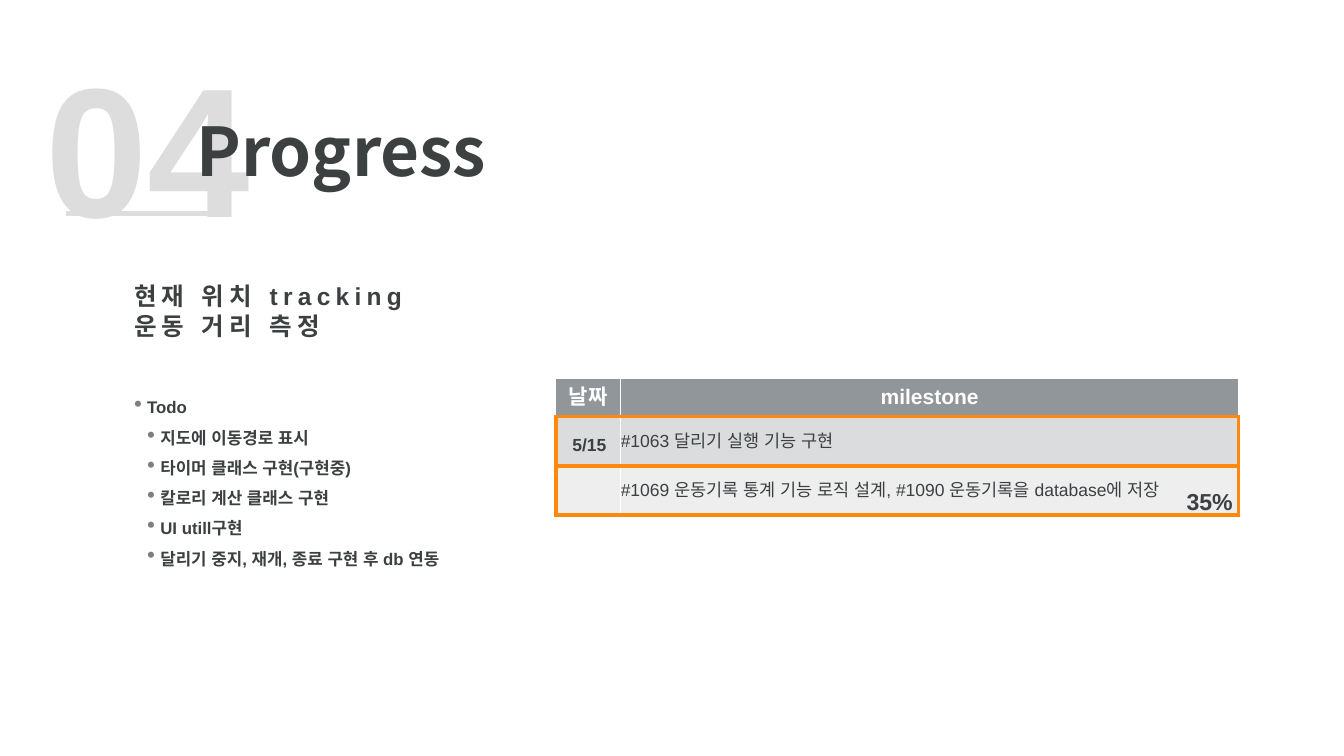
from collections import namedtuple
from lxml import etree
from pptx import Presentation
from pptx.dml.color import RGBColor
from pptx.enum.shapes import MSO_CONNECTOR
from pptx.enum.text import MSO_ANCHOR, MSO_AUTO_SIZE, PP_ALIGN
from pptx.oxml import parse_xml
from pptx.oxml.ns import nsdecls, qn
from pptx.util import Inches, Pt

LEFT, CENTER = PP_ALIGN.LEFT, PP_ALIGN.CENTER
TOP, MIDDLE = MSO_ANCHOR.TOP, MSO_ANCHOR.MIDDLE
NO_FIT = MSO_AUTO_SIZE.NONE
STRAIGHT = MSO_CONNECTOR.STRAIGHT

WIDTH, HEIGHT = Inches(26.65), Inches(15)
COL, ROW = WIDTH / 100, HEIGHT / 100
PAD = 0.05

Box = namedtuple("Box", "x y w h")


class Theme:
    """Colours, fonts and type sizes of the slide."""
    ink, white, pale, dot = "3C4040", "FFFFFF", "DDDDDD", "7F7F7F"
    head, odd, even, mark = "91969B", "DBDCDE", "EEEEEF", "FF880D"
    sans, title = "Arial", "Noto Sans CJK KR"
    huge, large, topic, rate, label, cell, list = 263, 96, 35, 33, 30, 25, 24


def grid(x, y, w, h):
    """Turn columns and rows of the slide grid into a box."""
    return Box(int(x * COL), int(y * ROW), int(w * COL), int(h * ROW))


def part(box, x, y, w, h):
    """Return the part of a box given by shares of its size."""
    return Box(int(box.x + x * box.w), int(box.y + y * box.h),
               int(w * box.w), int(h * box.h))


def style(para, size, color=Theme.ink, bold=True, face=Theme.sans, gap=0):
    """Set the font of a paragraph for Latin and Korean text."""
    font = para.font
    font.size, font.bold, font.name = Pt(size), bold, face
    font.color.rgb = RGBColor.from_string(color)
    props = font._rPr
    etree.SubElement(props, qn("a:ea")).set("typeface", face)
    if gap:
        props.set("spc", str(int(gap * 100)))


def setup(frame, anchor=TOP, wrap=True, top=PAD):
    """Set the insets, anchor and wrapping of a text frame."""
    frame.auto_size, frame.word_wrap = NO_FIT, wrap
    frame.vertical_anchor = anchor
    frame.margin_left = frame.margin_right = frame.margin_bottom = Inches(PAD)
    frame.margin_top = Inches(top)


def write(slide, box, lines, wrap=True, top=PAD):
    """Add a text box and return its paragraphs."""
    frame = slide.shapes.add_textbox(*box).text_frame
    setup(frame, wrap=wrap, top=top)
    frame.text = "\n".join(lines)
    return frame.paragraphs


def bullet(para, level):
    """Give a paragraph a grey dot and a hanging indent."""
    props = para._p.get_or_add_pPr()
    step = Inches(0.26)
    props.set("marL", str(step * (level + 1)))
    props.set("indent", str(-step))
    for tag in (f'<a:buClr {nsdecls("a")}><a:srgbClr val="{Theme.dot}"/></a:buClr>',
                f'<a:buSzPct {nsdecls("a")} val="140000"/>',
                f'<a:buChar {nsdecls("a")} char="•"/>'):
        props.append(parse_xml(tag))
    para.level = level


def border(cell, sides):
    """Draw the four cell borders, given as colour and width."""
    props = cell._tc.get_or_add_tcPr()
    for spot, (side, (color, width)) in enumerate(zip("LRTB", sides)):
        props.insert(spot, parse_xml(
            f'<a:ln{side} {nsdecls("a")} w="{Pt(width)}"><a:solidFill>'
            f'<a:srgbClr val="{color}"/></a:solidFill></a:ln{side}>'))


def heading(slide, box, number, text):
    """Place the large number, the title over it and the rule below."""
    for para in write(slide, part(box, 0, 0, 0.34, 1), [number], top=0.38):
        style(para, Theme.huge, Theme.pale)
    title = slide.shapes.title
    title.left, title.top, title.width, title.height = part(box, 0.2, 0.41, 0.8, 0.38)
    setup(title.text_frame, MIDDLE)
    title.text_frame.text = text
    para = title.text_frame.paragraphs[0]
    para.alignment = LEFT
    style(para, Theme.large, face=Theme.title)
    slide.shapes._spTree.append(title._element)
    rule = part(box, 0.03, 0.88, 0.2, 0)
    line = slide.shapes.add_connector(STRAIGHT, rule.x, rule.y, rule.x + rule.w, rule.y)
    line.line.width = Pt(7.5)
    line.line.color.rgb = RGBColor.from_string(Theme.pale)
    etree.SubElement(line._element.spPr, qn("a:effectLst"))


def topic(slide, box, lines):
    """Place the spaced topic lines."""
    for para in write(slide, box, lines):
        style(para, Theme.topic, gap=7.5)


def todo(slide, box, lines):
    """Place the task list, with its first line as the parent."""
    for spot, para in enumerate(write(slide, box, lines, top=0.67)):
        bullet(para, min(spot, 1))
        para.line_spacing = 1.5
        style(para, Theme.list)


def plan(slide, box, rows, rate):
    """Place the milestone table and the progress rate in its corner."""
    table = slide.shapes.add_table(len(rows), 2, *box).table
    for col, share in zip(table.columns, (2, 19)):
        col.width = int(box.w * share / 21)
    for row, share in zip(table.rows, (0.28, 0.36, 0.36)):
        row.height = int(box.h * share)
    thin, thick = (Theme.white, 1), (Theme.mark, 6)
    fills = (Theme.head, Theme.odd, Theme.even)
    for r, (texts, fill) in enumerate(zip(rows, fills)):
        for c, text in enumerate(texts):
            cell = table.cell(r, c)
            cell.text, cell.vertical_anchor = text, MIDDLE
            cell.margin_left = cell.margin_right = 0
            cell.margin_top = cell.margin_bottom = 0
            cell.fill.solid()
            cell.fill.fore_color.rgb = RGBColor.from_string(fill)
            border(cell, (thick if r and c == 0 else thin,
                          thick if r and c == 1 else thin,
                          thick if r else thin, thick))
            para = cell.text_frame.paragraphs[0]
            if r == 0:
                para.alignment = CENTER
                style(para, Theme.label, Theme.white)
            else:
                if c == 0:
                    para._p.get_or_add_pPr().set("marL", str(Inches(0.33)))
                    para.line_spacing = 1.5
                style(para, Theme.cell, bold=c == 0)
    for para in write(slide, part(box, 0.92, 0.78, 0.08, 0.24), [rate], wrap=False):
        style(para, Theme.rate)


def main():
    """Build the progress slide and save it."""
    deck = Presentation()
    deck.slide_width, deck.slide_height = WIDTH, HEIGHT
    slide = deck.slides.add_slide(deck.slide_layouts[5])
    topic(slide, grid(9.79, 36.87, 30.69, 8.87), ["현재 위치 tracking", "운동 거리 측정"])
    todo(slide, grid(9.79, 46.73, 30.69, 48.8), [
        "Todo",
        "지도에 이동경로 표시",
        "타이머 클래스 구현(구현중)",
        "칼로리 계산 클래스 구현",
        "UI utill구현",
        "달리기 중지, 재개, 종료 구현 후 db 연동",
    ])
    plan(slide, grid(41.35, 50, 50.81, 18.13), [
        ("날짜", "milestone"),
        ("5/15", "#1063 달리기 실행 기능 구현"),
        ("", "#1069 운동기록 통계 기능 로직 설계, #1090 운동기록을 database에 저장"),
    ], "35%")
    heading(slide, grid(3.19, 1.87, 56.21, 29.93), "04", "Progress")
    deck.save("out.pptx")


if __name__ == "__main__":
    main()
